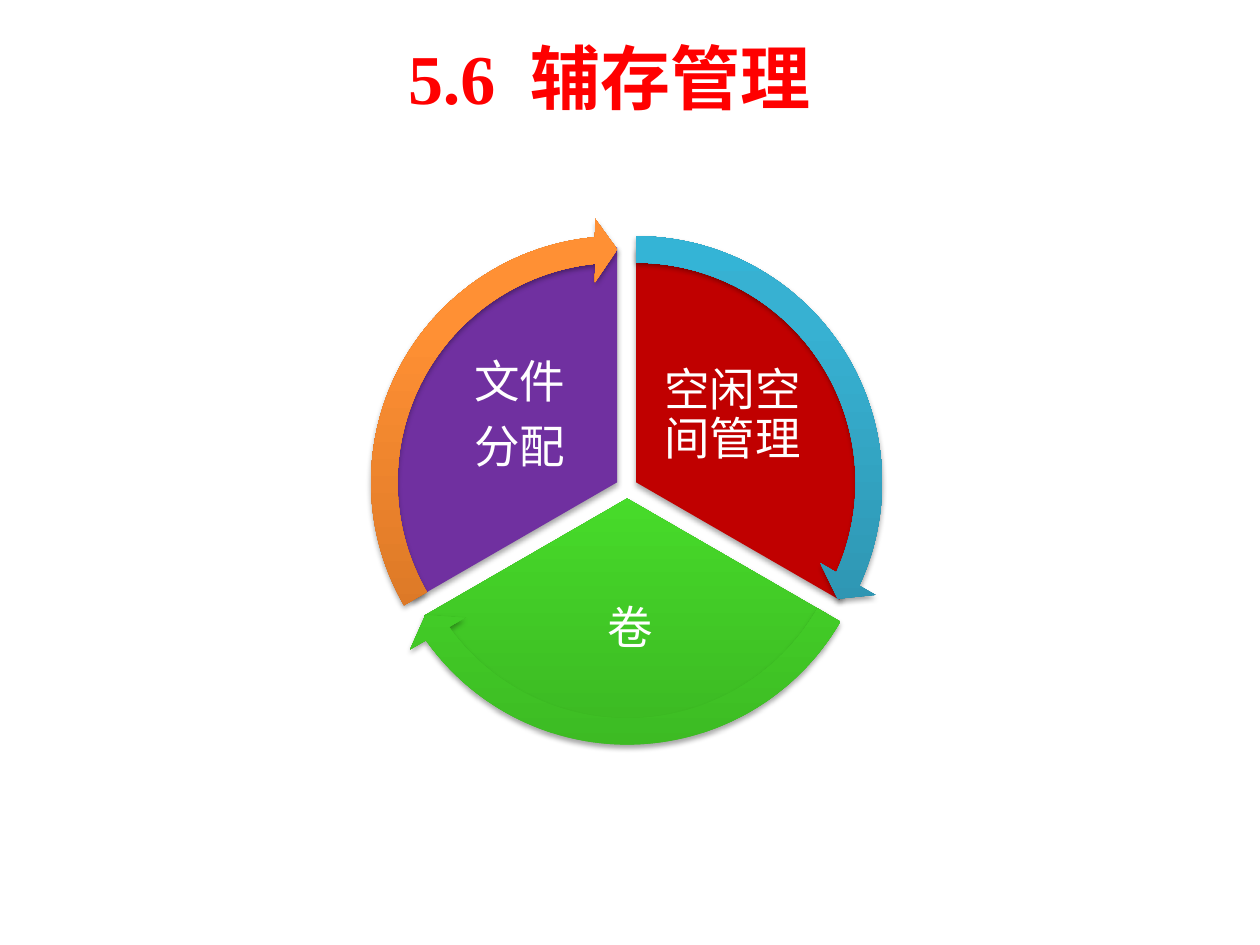
from copy import deepcopy

from lxml import etree
from pptx import Presentation
from pptx.dml.color import RGBColor
from pptx.enum.shapes import MSO_SHAPE
from pptx.enum.text import MSO_ANCHOR, PP_ALIGN
from pptx.oxml.ns import qn
from pptx.util import Pt

PIE = MSO_SHAPE.PIE
CIRCULAR_ARROW = MSO_SHAPE.CIRCULAR_ARROW
MIDDLE = MSO_ANCHOR.MIDDLE
CENTER = PP_ALIGN.CENTER

WHITE = RGBColor(0xFF, 0xFF, 0xFF)
TITLE_RED = RGBColor(0xFF, 0x00, 0x00)
DARK_RED = RGBColor(0xC0, 0x00, 0x00)
PURPLE = RGBColor(0x70, 0x30, 0xA0)
GREENS = [RGBColor(0x3C, 0xB9, 0x23), RGBColor(0x4E, 0xF0, 0x2E), RGBColor(0x4C, 0xF5, 0x2A)]
BLUES = [RGBColor(0x2A, 0x88, 0xA2), RGBColor(0x37, 0xB1, 0xD2), RGBColor(0x34, 0xB4, 0xD6)]
ORANGES = [RGBColor(0xCC, 0x6E, 0x20), RGBColor(0xFF, 0x90, 0x34), RGBColor(0xFF, 0x91, 0x36)]
GRADIENT_POSITIONS = [0, 0.8, 1]

PIE_SIZE = 268.5
ARROW_SIZE = 302.4

# centre, pie angles, pie fill, arrow angles, arrow fill, label box, label lines
SECTORS = [
    ((363.5, 275.6), (162, 18), DARK_RED, (14.73, 161.99), BLUES,
     (370.8, 198, 95.8, 80), ["空闲空间管理"]),
    ((358.4, 284.9), (18, 90), GREENS, (86.72, 18), GREENS,
     (288, 324.7, 144, 70.6), ["卷"]),
    ((352.7, 275.6), (90, 162), PURPLE, (158.73, 90), ORANGES,
     (249.1, 198, 95.8, 80), ["文件", "分配"]),
]


def set_fill(sp, color):
    """Fill with one colour, or with a list of colours from bottom to top."""
    if isinstance(color, RGBColor):
        sp.fill.solid()
        sp.fill.fore_color.rgb = color
        return
    sp.fill.gradient()
    sp.fill.gradient_angle = 90
    stops = sp._element.spPr.find(".//" + qn("a:gsLst"))
    stops.append(deepcopy(stops[0]))
    for stop, position, rgb in zip(sp.fill.gradient_stops, GRADIENT_POSITIONS, color):
        stop.position = position
        stop.color.rgb = rgb


def add_shadow(sp):
    sp.shadow.inherit = False
    effects = sp._element.spPr.find(qn("a:effectLst"))
    shadow = etree.SubElement(effects, qn("a:outerShdw"), blurRad=str(Pt(3.1)),
                              dist=str(Pt(1.8)), dir="5400000", rotWithShape="0")
    color = etree.SubElement(shadow, qn("a:srgbClr"), val="000000")
    etree.SubElement(color, qn("a:alpha"), val="35000")


def add_round_shape(slide, kind, center, size, adjustments, color):
    x, y = center
    sp = slide.shapes.add_shape(kind, Pt(x - size / 2), Pt(y - size / 2), Pt(size), Pt(size))
    for i, value in enumerate(adjustments):
        sp.adjustments[i] = value
    set_fill(sp, color)
    sp.line.fill.background()
    add_shadow(sp)


def add_text_frame(slide, box, margin):
    tf = slide.shapes.add_textbox(*map(Pt, box)).text_frame
    tf.word_wrap = True
    tf.vertical_anchor = MIDDLE
    tf.margin_left = tf.margin_right = tf.margin_top = tf.margin_bottom = Pt(margin)
    return tf


def add_run(p, text, size, font, color, bold=False):
    r = p.add_run()
    r.text = text
    r.font.size = Pt(size)
    r.font.name = font
    r.font.color.rgb = color
    r.font.bold = bold
    return r


def add_title(slide):
    p = add_text_frame(slide, (66.2, 21.6, 563.8, 44.6), 0).paragraphs[0]
    p.alignment = CENTER
    for text in ("5.6", " ", "辅存管理"):
        r = add_run(p, text, 40, "Times New Roman", TITLE_RED, True)
        if text == " ":
            r.font._element.set("spc", "1000")  # widens the gap by 10 pt


def add_label(slide, box, lines):
    tf = add_text_frame(slide, box, 2.6)
    for i, line in enumerate(lines):
        p = tf.add_paragraph() if i else tf.paragraphs[0]
        p.alignment = CENTER
        p.line_spacing = 0.9
        p.space_after = Pt(9.1)
        add_run(p, line, 26, "Calibri", WHITE)


def main():
    prs = Presentation()
    prs.slide_width, prs.slide_height = Pt(720), Pt(540)
    slide = prs.slides.add_slide(prs.slide_layouts[6])
    add_title(slide)
    for center, angles, color, _, _, box, lines in SECTORS:
        add_round_shape(slide, PIE, center, PIE_SIZE, angles, color)
        add_label(slide, box, lines)
    for center, _, _, (end, start), color, _, _ in SECTORS:
        adjustments = (0.05, 3.28, end, start, 0.06)
        add_round_shape(slide, CIRCULAR_ARROW, center, ARROW_SIZE, adjustments, color)
    prs.save("out.pptx")


if __name__ == "__main__":
    main()
